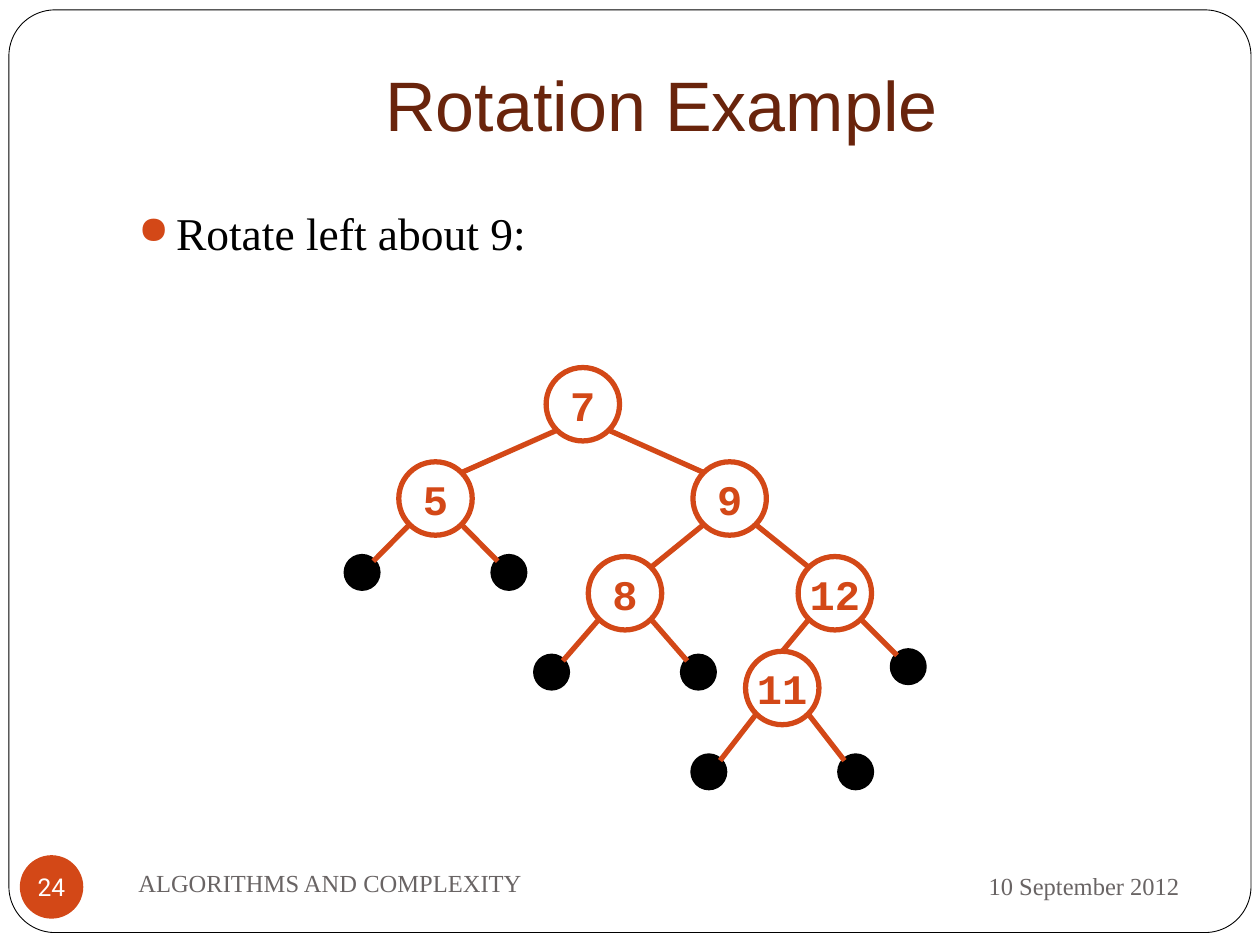
import lxml.etree
import pptx
import pptx.dml.color
import pptx.enum.shapes
import pptx.enum.text
import pptx.oxml.ns
import pptx.util

Cm = pptx.util.Cm
Pt = pptx.util.Pt
RGBColor = pptx.dml.color.RGBColor
Kind = pptx.enum.shapes.MSO_SHAPE
Align = pptx.enum.text.PP_ALIGN
Anchor = pptx.enum.text.MSO_ANCHOR
qn = pptx.oxml.ns.qn

WHITE = RGBColor(0xFF, 0xFF, 0xFF)
BLACK = RGBColor(0x00, 0x00, 0x00)
RUST = RGBColor(0xD3, 0x48, 0x17)
BROWN = RGBColor(0x69, 0x24, 0x0C)
GRAY = RGBColor(0x69, 0x64, 0x64)

NODE = 0.74
LEAF = 0.32
DIAG = 0.707
STEP = 1.48
TREE = {
    "7": (11.75, 8.15),
    "5": (8.78, 10.05),
    "9": (14.71, 10.05),
    "8": (12.6, 11.96),
    "12": (16.83, 11.96),
    "11": (15.77, 13.87),
}
LINKS = [("7", "5"), ("7", "9"), ("9", "8"), ("9", "12"), ("12", "11")]
LEAVES = [
    ("5", -1, 1.49), ("5", 1, 1.49),
    ("8", -1, 1.59), ("8", 1, 1.59),
    ("12", 1, 1.48),
    ("11", -1, 1.69), ("11", 1, 1.69),
]


def write(frame, text, font="Times New Roman", size=14, color=GRAY, bold=False,
          align=Align.LEFT, anchor=Anchor.MIDDLE, wrap=True, inset=None,
          bullet=None):
    frame.word_wrap = wrap
    frame.vertical_anchor = anchor
    if inset is not None:
        frame.margin_left = frame.margin_right = Cm(inset)
        frame.margin_top = frame.margin_bottom = Cm(inset)
    para = frame.paragraphs[0]
    para.alignment = align
    if bullet:
        props = para._p.get_or_add_pPr()
        props.set("marL", str(Cm(0.76)))
        props.set("indent", str(Cm(-0.76)))
        tint = lxml.etree.SubElement(props, qn("a:buClr"))
        lxml.etree.SubElement(tint, qn("a:srgbClr"), val=str(RUST))
        lxml.etree.SubElement(props, qn("a:buSzPct"), val="85000")
        lxml.etree.SubElement(props, qn("a:buChar"), char=bullet)
    run = para.add_run()
    run.text = text
    run.font.name = font
    run.font.size = Pt(size)
    run.font.bold = bold
    run.font.color.rgb = color


class Sketch:
    def __init__(self, slide, color=RUST, width=3):
        self.shapes = slide.shapes
        self.color = color
        self.width = width

    def shape(self, kind, left, top, width, height, fill, line=None, weight=None):
        item = self.shapes.add_shape(kind, Cm(left), Cm(top), Cm(width), Cm(height))
        item.shadow.inherit = False
        item.fill.solid()
        item.fill.fore_color.rgb = fill
        if line is None:
            item.line.fill.background()
        else:
            item.line.color.rgb = line
            item.line.width = Pt(weight or self.width)
        return item

    def disc(self, x, y, radius, fill, line=None):
        side = 2 * radius
        return self.shape(Kind.OVAL, x - radius, y - radius, side, side, fill, line)

    def node(self, text, x, y):
        item = self.disc(x, y, NODE, WHITE, self.color)
        write(item.text_frame, text, font="Courier New", size=24, bold=True,
              color=self.color, align=Align.CENTER, wrap=False)

    def edge(self, start, end, radius):
        (x, y), (u, v) = start, end
        side = 1 if u > x else -1
        near = NODE * DIAG
        far = radius * DIAG
        if abs(u - x) < 1.2:
            goal = (u, v - radius)
        else:
            goal = (u - side * far, v - far)
        line = self.shapes.add_connector(
            pptx.enum.shapes.MSO_CONNECTOR.STRAIGHT,
            Cm(x + side * near), Cm(y + near), Cm(goal[0]), Cm(goal[1]))
        line.line.color.rgb = self.color
        line.line.width = Pt(self.width)
        lxml.etree.SubElement(line._element.spPr, qn("a:effectLst"))

    def label(self, text, left, top, width, height, **style):
        box = self.shapes.add_textbox(Cm(left), Cm(top), Cm(width), Cm(height))
        write(box.text_frame, text, **style)
        return box


def main():
    deck = pptx.Presentation()
    deck.slide_width, deck.slide_height = Cm(25.4), Cm(19.05)
    art = Sketch(deck.slides.add_slide(deck.slide_layouts[6]))

    frame = art.shape(Kind.ROUNDED_RECTANGLE, 0.18, 0.2, 25.04, 18.6, WHITE, BLACK, 0.5)
    frame.adjustments[0] = 0.05
    title = art.label("Rotation Example", 2.54, 0, 21.59, 3.18, font="Arial", size=40,
                      color=BROWN, align=Align.CENTER, anchor=Anchor.BOTTOM)
    title.text_frame.margin_bottom = Cm(0.25)
    art.label("Rotate left about 9:", 2.54, 4.01, 21.59, 12.7, size=26, color=BLACK,
              anchor=Anchor.TOP, bullet="●")

    for top, low in LINKS:
        art.edge(TREE[top], TREE[low], NODE)
    for name, side, drop in LEAVES:
        x, y = TREE[name]
        spot = (x + side * STEP, y + drop)
        art.disc(*spot, LEAF, BLACK, BLACK)
        art.edge((x, y), spot, LEAF)
    for name, spot in TREE.items():
        art.node(name, *spot)

    art.label("10 September 2012", 17.15, 17.2, 6.88, 1.32, align=Align.RIGHT)
    badge = art.disc(1.04, 17.88, 0.64, RUST)
    write(badge.text_frame, "24", font="Roboto", color=WHITE, align=Align.CENTER,
          wrap=False, inset=0)
    art.label("ALGORITHMS AND COMPLEXITY", 2.54, 17.15, 11, 1.27)
    deck.save("out.pptx")


if __name__ == "__main__":
    main()
